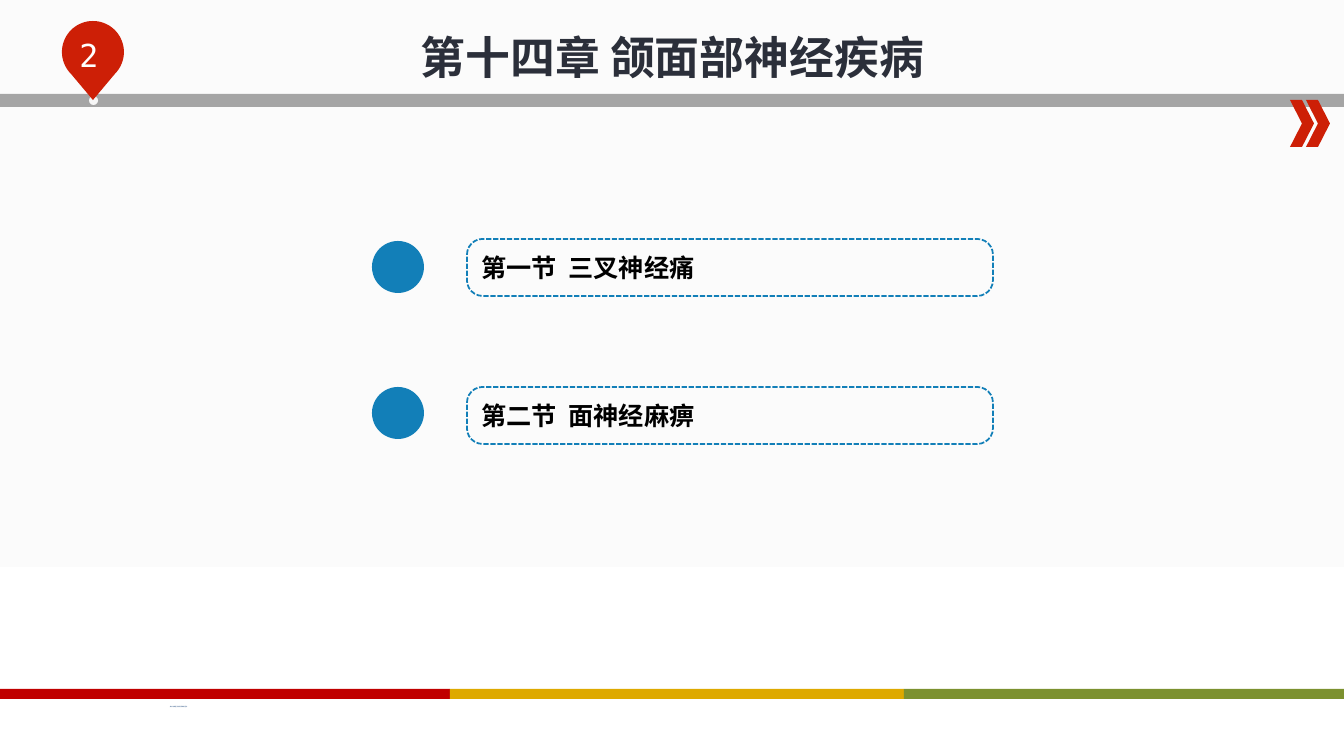
from dataclasses import dataclass
from math import cos, radians, sin

from lxml.etree import SubElement
from pptx import Presentation
from pptx.dml.color import RGBColor
from pptx.enum.dml import MSO_LINE
from pptx.enum.shapes import MSO_SHAPE
from pptx.enum.text import MSO_ANCHOR, PP_ALIGN
from pptx.oxml.ns import qn
from pptx.util import Emu, Pt

EMU_PER_PX = 914400 / 100.8


def px(length):
    return Emu(round(length * EMU_PER_PX))


@dataclass(frozen=True)
class Theme:
    red: str = "CD1F06"
    blue: str = "127FB8"
    gray: str = "A5A5A5"
    pale: str = "F6F6F6"
    white: str = "FFFFFF"
    black: str = "000000"
    title_ink: str = "2B2F3A"
    footer_ink: str = "1F497D"
    page_top: str = "FBFBFB"
    stripes: tuple = ("C00000", "DEA900", "7C912F")
    title_size: float = 32
    number_size: float = 22.6
    section_size: float = 18
    footer_size: float = 1
    latin: str = "Times New Roman"
    chinese: str = "Noto Sans CJK SC"
    mono: str = "DejaVu Sans Mono"


class SlideBuilder:
    def __init__(self, slide, theme):
        self.slide = slide
        self.theme = theme

    def background(self):
        fill = self.slide.background.fill
        fill.gradient()
        fill.gradient_angle = 270
        stops = ((0.5, self.theme.page_top), (1.0, self.theme.white))
        for stop, (position, color) in zip(fill.gradient_stops, stops):
            stop.position = position
            stop.color.rgb = RGBColor.from_string(color)

    def paint(self, shape, color):
        shape.shadow.inherit = False
        shape.fill.solid()
        shape.fill.fore_color.rgb = RGBColor.from_string(color)
        shape.line.fill.background()

    def shape(self, kind, left, top, width, height, color):
        shape = self.slide.shapes.add_shape(
            kind, px(left), px(top), px(width), px(height))
        self.paint(shape, color)
        return shape

    def pin(self, center_x, center_y, radius, tip_y, color):
        """Round head with a pointed tip below it."""
        angles = [radians(degree) for degree in range(135, 406, 5)]
        points = [(px(center_x + radius * cos(angle)),
                   px(center_y + radius * sin(angle))) for angle in angles]
        outline = self.slide.shapes.build_freeform(px(center_x), px(tip_y))
        outline.add_line_segments(points, close=True)
        self.paint(outline.convert_to_shape(), color)

    def set_text(self, shape, text, size, color, font, bold=False, align=PP_ALIGN.LEFT):
        frame = shape.text_frame
        frame.text = text
        para = frame.paragraphs[0]
        para.alignment = align
        span = para.runs[0]
        span.font.size = Pt(size)
        span.font.bold = bold
        span.font.name = font
        span.font.color.rgb = RGBColor.from_string(color)
        east_asian = SubElement(span.font._element, qn("a:ea"))
        east_asian.set("typeface", self.theme.chinese)
        return frame

    def text(self, left, top, width, height, text, size, color, font, wrap=True, **style):
        box = self.slide.shapes.add_textbox(px(left), px(top), px(width), px(height))
        frame = self.set_text(box, text, size, color, font, **style)
        frame.word_wrap = wrap
        return frame

    def section(self, left, top, text):
        theme = self.theme
        box = self.shape(MSO_SHAPE.ROUNDED_RECTANGLE, left, top, 526, 57, theme.white)
        box.adjustments[0] = 0.275
        box.fill.background()
        box.line.color.rgb = RGBColor.from_string(theme.blue)
        box.line.width = Pt(1.25)
        box.line.dash_style = MSO_LINE.SQUARE_DOT
        frame = self.set_text(box, text, theme.section_size, theme.black, theme.latin, bold=True)
        frame.vertical_anchor = MSO_ANCHOR.MIDDLE


def main():
    deck = Presentation()
    deck.slide_width, deck.slide_height = px(1344), px(756)
    theme = Theme()
    page = SlideBuilder(deck.slides.add_slide(deck.slide_layouts[6]), theme)
    page.background()

    # Header bar and double chevron
    page.shape(MSO_SHAPE.RECTANGLE, 0, 94, 1344, 13, theme.gray)
    for left in (1290, 1306):
        page.shape(MSO_SHAPE.CHEVRON, left, 100, 24, 47, theme.red)

    # Page number pin
    page.shape(MSO_SHAPE.OVAL, 89, 96, 9, 9, theme.pale)
    page.pin(93, 52, 31, 100, theme.red)
    page.text(45, 31, 88, 41, "2", theme.number_size, theme.white, theme.mono,
              align=PP_ALIGN.CENTER)

    # Footer stripes and hospital name
    for index, color in enumerate(theme.stripes):
        page.shape(MSO_SHAPE.RECTANGLE, -4 + 454 * index, 689, 454, 10, color)
    page.text(160, 701, 38, 12, "某市某某医学院附属某某医院", theme.footer_size,
              theme.footer_ink, theme.chinese, wrap=False)

    # Title
    title = page.text(93, 29, 1159, 146, "第十四章 颌面部神经疾病", theme.title_size,
                      theme.title_ink, theme.latin, bold=True, align=PP_ALIGN.CENTER)
    title.margin_top = px(1)

    # Sections with their markers
    sections = ("第一节  三叉神经痛", "第二节  面神经麻痹")
    for index, name in enumerate(sections):
        page.shape(MSO_SHAPE.OVAL, 372, 241 + 146 * index, 52, 52, theme.blue)
        page.section(467, 239 + 148 * index, name)

    deck.save("out.pptx")


if __name__ == "__main__":
    main()
